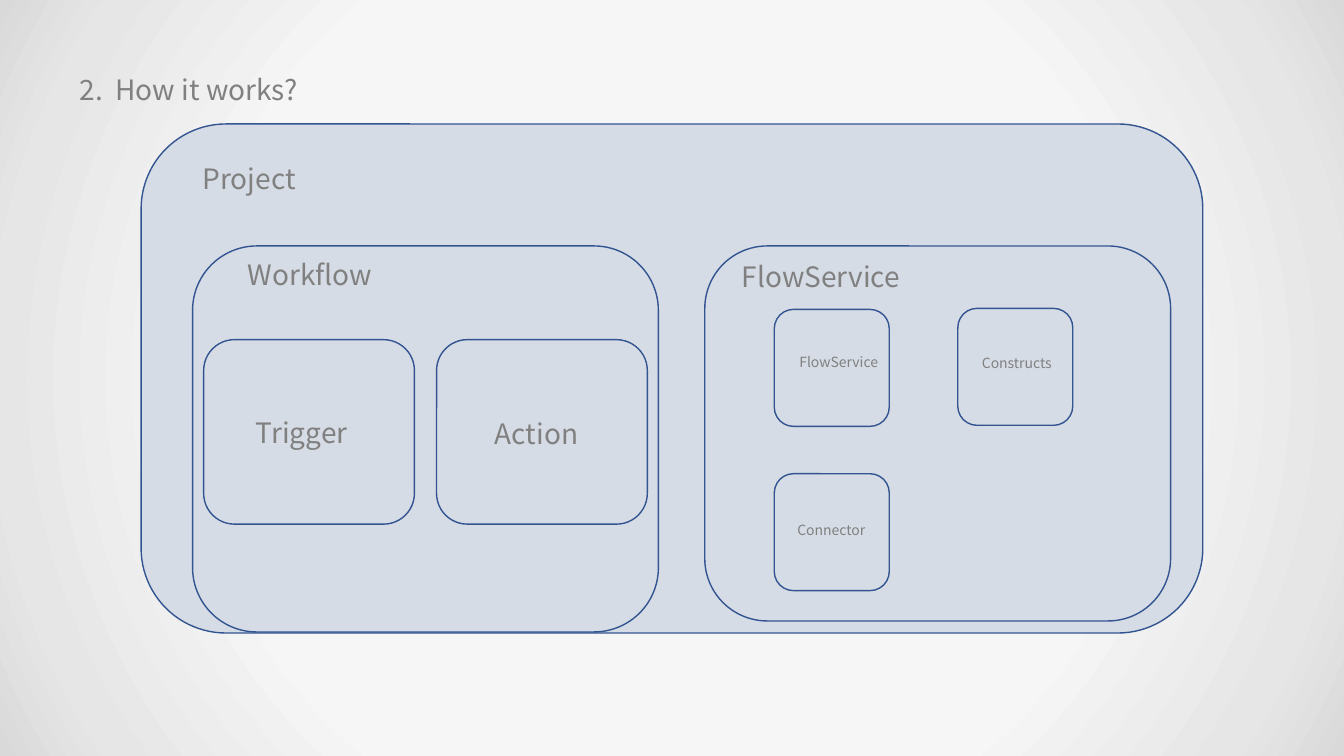
"""Build the "How it works?" slide: a project holding a workflow and a flow service."""
from pptx import Presentation
from pptx.dml.color import RGBColor
from pptx.enum.shapes import MSO_SHAPE as SHAPE
from pptx.enum.text import MSO_ANCHOR as ANCHOR, MSO_AUTO_SIZE as AUTO, PP_ALIGN as ALIGN
from pptx.oxml import parse_xml
from pptx.oxml.ns import nsdecls
from pptx.util import Pt

PX = 9144
FONT = "Noto Sans CJK KR"


def rgb(value):
    return RGBColor.from_string(value)


def write_text(sp, text, size=20, color="808080", wrap=True):
    tf = sp.text_frame
    tf.word_wrap = wrap
    tf.auto_size = AUTO.SHAPE_TO_FIT_TEXT
    tf.vertical_anchor = ANCHOR.TOP
    p = tf.paragraphs[0]
    p.alignment = ALIGN.LEFT
    r = p.add_run()
    r.text = text
    r.font.name = FONT
    r.font.size = Pt(size)
    r.font.color.rgb = rgb(color)


prs = Presentation()
prs.slide_width, prs.slide_height = 1333 * PX, 750 * PX
s = prs.slides.add_slide(prs.slide_layouts[5])

stops = "".join(
    f'<a:gs pos="{pos * 1000}"><a:srgbClr val="{color}"/></a:gs>'
    for pos, color in [(60, "F6F6F6"), (87, "E7E6E6"), (100, "D9D9D9")]
)
s.element.cSld.insert(0, parse_xml(
    f'<p:bg {nsdecls("p", "a")}><p:bgPr><a:gradFill rotWithShape="1"><a:gsLst>{stops}</a:gsLst>'
    '<a:path path="circle"><a:fillToRect l="50000" t="50000" r="50000" b="50000"/></a:path>'
    '</a:gradFill><a:effectLst/></p:bgPr></p:bg>'
))

title = s.shapes.title
title.left, title.top, title.width, title.height = 69 * PX, 67 * PX, 245 * PX, 44 * PX
write_text(title, "2.  How it works?", wrap=False)

boxes = [
    (140, 123, 1053, 505),
    (191, 244, 462, 383),
    (699, 244, 462, 372),
    (202, 337, 209, 183),
    (433, 337, 209, 183),
    (950, 306, 114, 116),
    (768, 470, 114, 116),
    (768, 307, 114, 116),
]
for box in boxes:
    sp = s.shapes.add_shape(SHAPE.ROUNDED_RECTANGLE, *[n * PX for n in box])
    sp.shadow.inherit = False
    sp.fill.solid()
    sp.fill.fore_color.rgb = rgb("D6DCE5")
    sp.line.color.rgb = rgb("325491")
    sp.line.width = Pt(1)

labels = [
    ("Project", 191, 155, 128, 20),
    ("Workflow", 236, 251, 166, 20),
    ("FlowService", 726, 253, 204, 20),
    ("Trigger", 244, 407, 126, 20),
    ("Action", 481, 408, 113, 20),
    ("Constructs", 964, 347, 93, 10),
    ("Connector", 781, 512, 93, 10),
    ("FlowService", 783, 346, 100, 10),
]
for text, left, top, width, size in labels:
    height = 44 if size == 20 else 27
    sp = s.shapes.add_textbox(left * PX, top * PX, width * PX, height * PX)
    write_text(sp, text, size=size)

prs.save("out.pptx")
